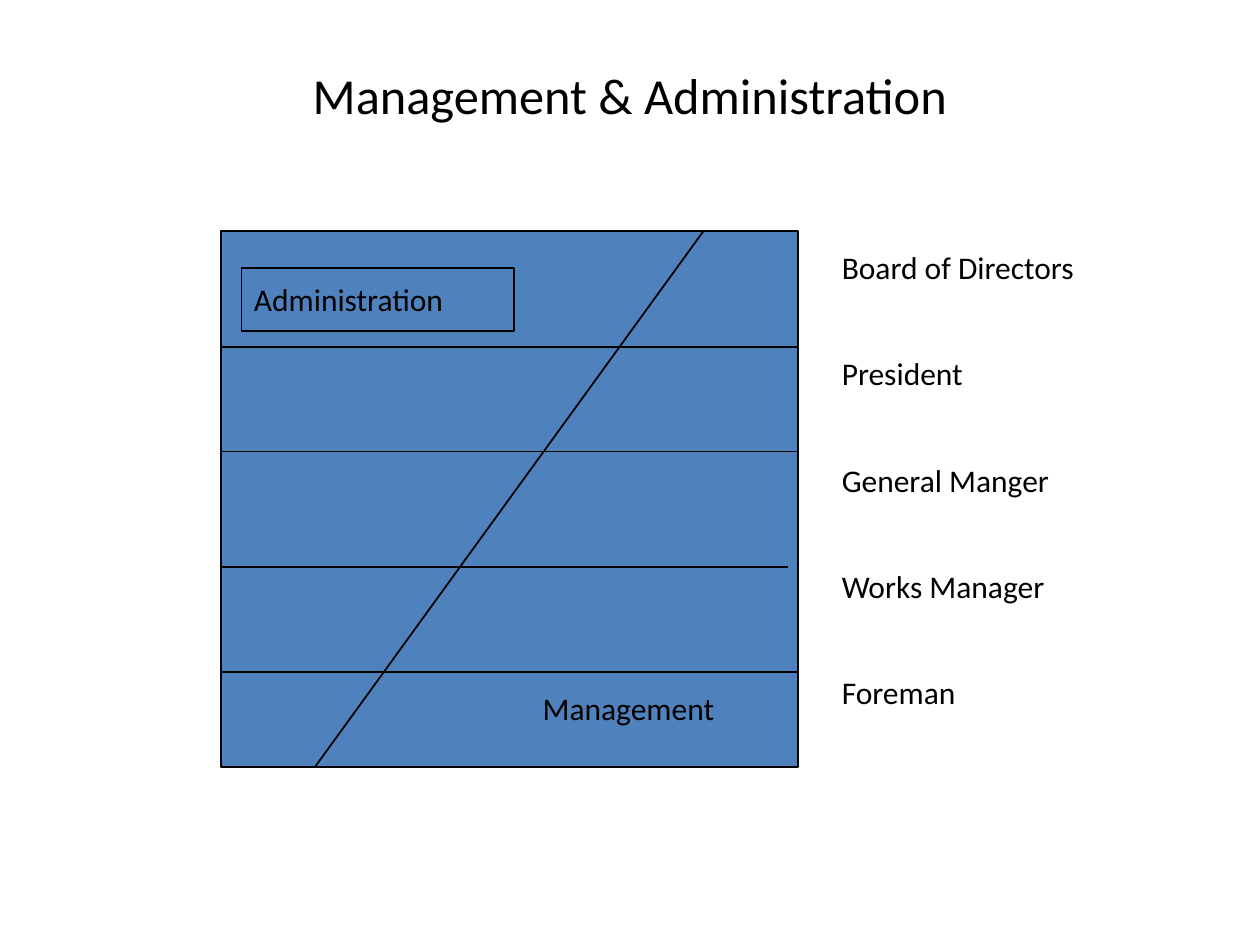
"""Build the slide that divides management from administration by level."""
from lxml import etree
from pptx import Presentation
from pptx import util as u
from pptx.dml.color import RGBColor
from pptx.enum import shapes, text
from pptx.oxml.ns import qn

COLORS = {"ink": "000000", "panel": "4F81BD"}
LEVELS = ["Board of Directors", "President", "General Manger", "Works Manager", "Foreman"]


class Page:
    """Hold the style and the current slide, and draw elements in centimetres."""

    def __init__(self, slide, font="Calibri", size=18, line_width=1):
        self.slide = slide
        self.font = font
        self.size = size
        self.line_width = line_width

    def color(self, name):
        return RGBColor.from_string(COLORS[name])

    def add_lines(self, frame, lines, size=None, align=text.PP_ALIGN.LEFT, gap=0):
        frame.word_wrap = True
        for index, line in enumerate(lines):
            para = frame.add_paragraph() if index else frame.paragraphs[0]
            para.alignment = align
            para.space_before = u.Pt(gap if index else 0)
            span = para.add_run()
            span.text = line
            span.font.name = self.font
            span.font.size = u.Pt(size or self.size)
            span.font.color.rgb = self.color("ink")

    def title(self, line, left, top, width, height):
        box = self.slide.shapes.title
        box.left, box.top = u.Cm(left), u.Cm(top)
        box.width, box.height = u.Cm(width), u.Cm(height)
        box.text_frame.vertical_anchor = text.MSO_ANCHOR.MIDDLE
        self.add_lines(box.text_frame, [line], 28.8, text.PP_ALIGN.CENTER)

    def label(self, lines, left, top, width, height, gap=0):
        box = self.slide.shapes.add_textbox(*map(u.Cm, (left, top, width, height)))
        self.add_lines(box.text_frame, lines, gap=gap)

    def panel(self, left, top, width, height, lines=()):
        box = self.slide.shapes.add_shape(
            shapes.MSO_SHAPE.RECTANGLE, *map(u.Cm, (left, top, width, height)))
        box.shadow.inherit = False
        box.fill.solid()
        box.fill.fore_color.rgb = self.color("panel")
        self.outline(box.line)
        box.text_frame.vertical_anchor = text.MSO_ANCHOR.MIDDLE
        self.add_lines(box.text_frame, lines)

    def line(self, *ends):
        connector = self.slide.shapes.add_connector(
            shapes.MSO_CONNECTOR.STRAIGHT, *map(u.Cm, ends))
        self.outline(connector.line)
        etree.SubElement(connector._element.spPr, qn("a:effectLst"))

    def outline(self, line):
        line.color.rgb = self.color("ink")
        line.width = u.Pt(self.line_width)


def main():
    deck = Presentation()
    deck.slide_width, deck.slide_height = u.Cm(25.4), u.Cm(19.05)
    page = Page(deck.slides.add_slide(deck.slide_layouts[5]))

    left, top, width, height = 4.45, 4.66, 11.64, 10.8
    right, bottom = left + width, top + height

    page.title("Management & Administration", 1.27, 0.15, 22.86, 3.5)
    page.panel(left, top, width, height)
    page.line(6.35, bottom, 14.18, top)
    page.label(["Management"], 10.69, 13.76, 5.08, 1.02)
    page.panel(4.87, 5.4, 5.5, 1.27, ["Administration"])
    page.label(LEVELS, 16.72, 4.87, 6.56, 10.19, gap=39.2)
    for level, end in [(6.99, right), (9.1, right), (11.43, right - 0.21), (13.55, right)]:
        page.line(left, level, end, level)

    deck.save("out.pptx")


if __name__ == "__main__":
    main()
